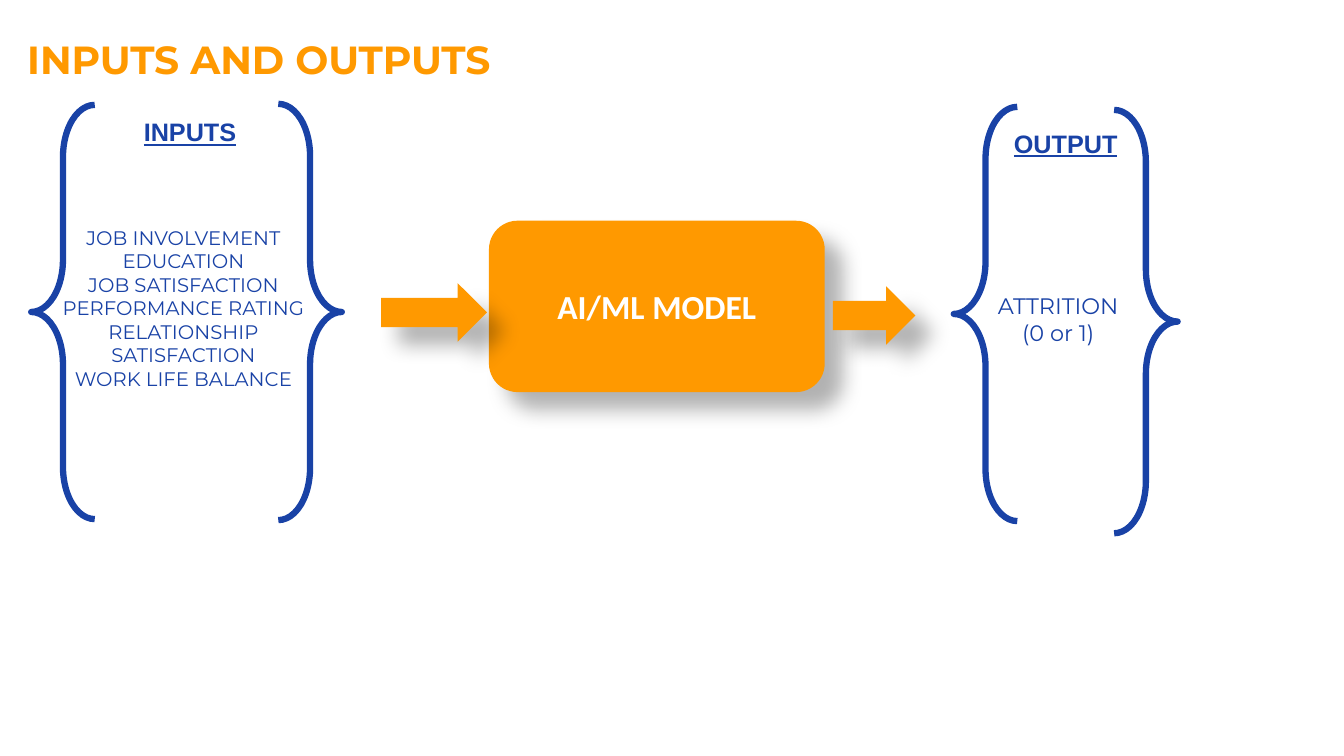
"""Build the inputs and outputs slide of an AI/ML model."""
from lxml import etree
from pptx import Presentation
from pptx.dml.color import RGBColor
from pptx.enum.shapes import MSO_SHAPE as SHAPE
from pptx.enum.text import MSO_ANCHOR as ANCHOR, MSO_AUTO_SIZE as AUTO, PP_ALIGN as ALIGN
from pptx.oxml import parse_xml
from pptx.util import Inches, Pt

ORANGE = RGBColor(0xFF, 0x99, 0x00)
BLUE = RGBColor(0x19, 0x42, 0xA6)
WHITE = RGBColor(0xFF, 0xFF, 0xFF)
SHADOW = (
    '<a:effectLst xmlns:a="http://schemas.openxmlformats.org/drawingml/2006/main">'
    f'<a:outerShdw blurRad="{Pt(15)}" dist="{Pt(18)}" dir="{45 * 60000}" rotWithShape="0">'
    '<a:srgbClr val="000000"><a:alpha val="30000"/></a:srgbClr>'
    '</a:outerShdw></a:effectLst>'
)
INPUTS = [
    "JOB INVOLVEMENT",
    "EDUCATION",
    "JOB SATISFACTION PERFORMANCE RATING",
    "RELATIONSHIP SATISFACTION",
    "WORK LIFE BALANCE",
]
OUTPUTS = ["ATTRITION", "(0 or 1)"]


def write(tf, lines, font, size, color, bold=False, underline=False, align=ALIGN.CENTER):
    tf.word_wrap = True
    for i, line in enumerate(lines):
        p = tf.paragraphs[0] if i == 0 else tf.add_paragraph()
        p.text = line
        p.alignment = align
        p.font.name = font
        p.font.size = Pt(size)
        p.font.bold = bold
        p.font.underline = underline
        p.font.color.rgb = color


def add_title(s, text):
    sp = s.shapes.title
    sp.left, sp.top, sp.width, sp.height = map(Inches, (0.17, 0.3, 11.32, 0.5))
    tf = sp.text_frame
    tf.auto_size = AUTO.NONE
    tf.vertical_anchor = ANCHOR.TOP
    write(tf, [text], "Montserrat", 28, ORANGE, bold=True, align=ALIGN.LEFT)


def add_text(s, box, lines, size):
    tf = s.shapes.add_textbox(*map(Inches, box)).text_frame
    write(tf, lines, "Montserrat", size, BLUE)


def add_heading(s, box, text):
    tf = s.shapes.add_textbox(*map(Inches, box)).text_frame
    write(tf, [text], "Arial", 18, BLUE, bold=True, underline=True)
    tf.word_wrap = False


def add_block(s, kind, box):
    sp = s.shapes.add_shape(kind, *map(Inches, box))
    sp.shadow.inherit = False
    props = sp.fill._xPr
    sp.fill.solid()
    sp.fill.fore_color.rgb = ORANGE
    sp.line.fill.background()
    effects = props.find("{*}effectLst")
    props.replace(effects, parse_xml(SHADOW))
    return sp


def add_brace(s, box, rotation=0):
    sp = s.shapes.add_shape(SHAPE.LEFT_BRACE, *map(Inches, box))
    sp.shadow.inherit = False
    sp.adjustments[0] = 0.824
    sp.rotation = rotation
    sp.fill.background()
    sp.line.color.rgb = BLUE
    sp.line.width = Pt(4.5)


def main():
    prs = Presentation()
    prs.slide_width, prs.slide_height = Inches(13.33), Inches(7.5)
    s = prs.slides.add_slide(prs.slide_layouts[5])
    add_title(s, "INPUTS AND OUTPUTS")

    model = add_block(s, SHAPE.ROUNDED_RECTANGLE, (4.85, 2.19, 3.33, 1.7))
    model.text_frame.vertical_anchor = ANCHOR.MIDDLE
    write(model.text_frame, ["AI/ML MODEL"], "Calibri", 24, WHITE, bold=True)
    add_block(s, SHAPE.RIGHT_ARROW, (3.78, 2.81, 1.05, 0.58))
    add_block(s, SHAPE.RIGHT_ARROW, (8.26, 2.84, 0.82, 0.58))

    add_brace(s, (0.31, 1.04, 0.63, 4.11))
    add_brace(s, (2.76, 1.03, 0.63, 4.13), rotation=180)
    add_heading(s, (1.32, 1.11, 1.13, 0.4), "INPUTS")
    add_text(s, (0.44, 2.19, 2.76, 2.22), INPUTS, 14)

    add_brace(s, (9.46, 1.06, 0.63, 4.11))
    add_brace(s, (11.05, 1.09, 0.63, 4.2), rotation=180)
    add_heading(s, (9.93, 1.22, 1.28, 0.4), "OUTPUT")
    add_text(s, (9.3, 2.85, 2.39, 0.64), OUTPUTS, 16)

    prs.save("out.pptx")


if __name__ == "__main__":
    main()
